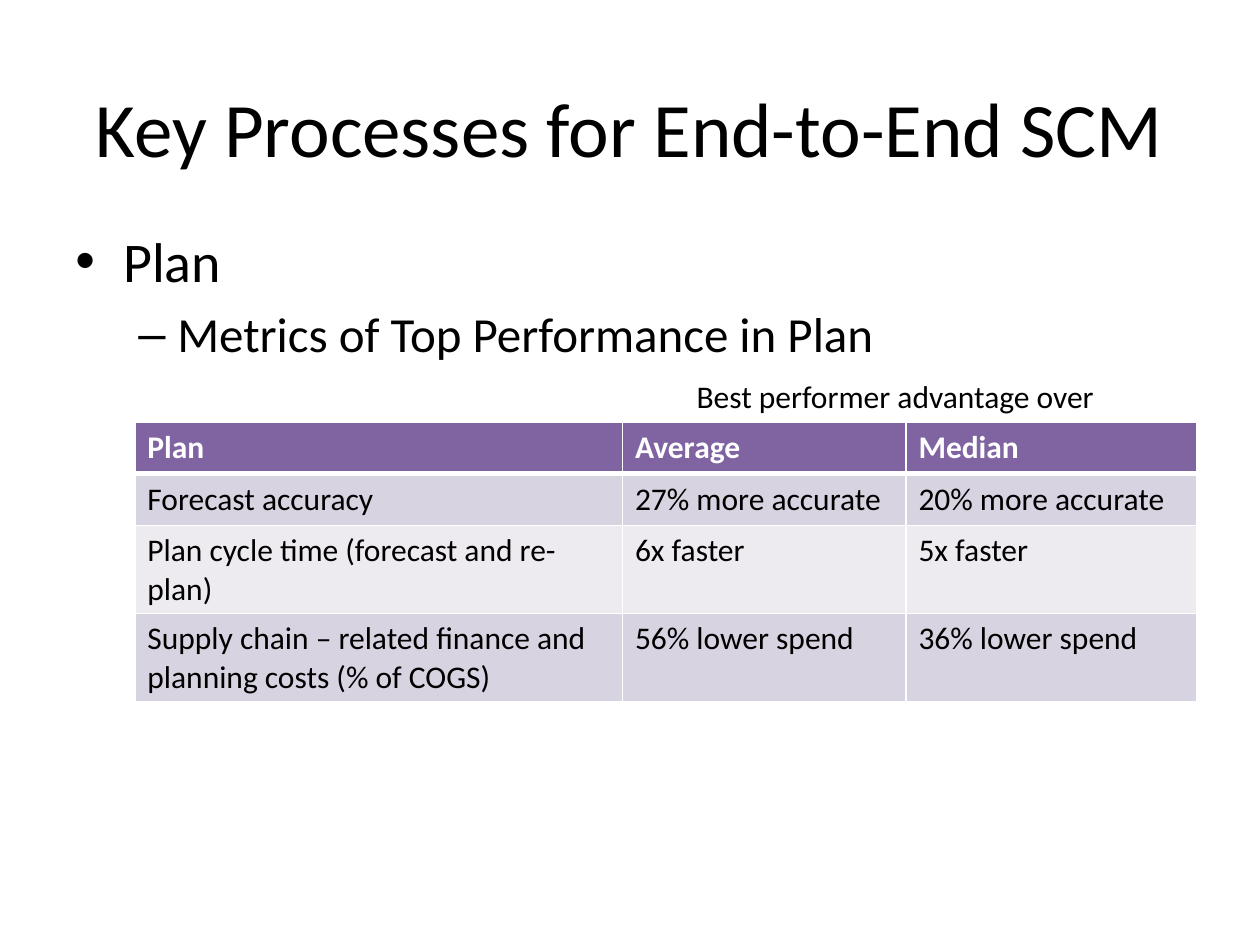
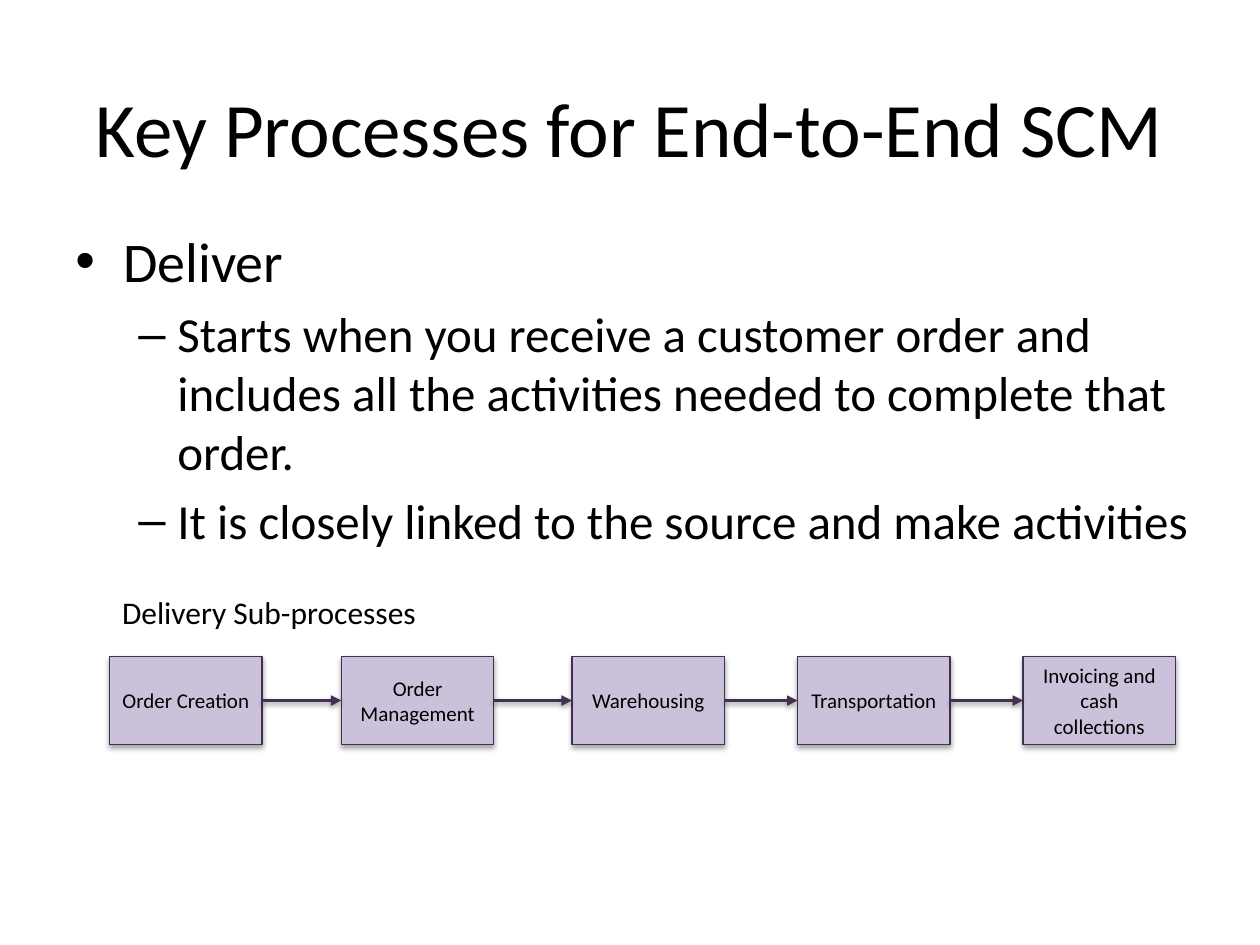
from lxml import etree
from pptx import Presentation
from pptx import util as u
from pptx.dml.color import RGBColor
from pptx.enum import shapes, text
from pptx.oxml import parse_xml
from pptx.oxml.ns import nsdecls, qn

# Shared look
FONT = "Calibri"
BLACK, WHITE = "000000", "FFFFFF"
HEADER, BAND_DARK, BAND_LIGHT = "8064A2", "D8D3E0", "EDEAF0"
BOX_FILL, BOX_LINE = "CCC1DA", "403152"
TITLE = "Key Processes for End-to-End SCM"

# Per level: bullet, text size, left indent, first-line indent
LEVELS = [("•", 32, 0.38, -0.38), ("–", 28, 0.81, -0.31)]


def color(value):
    return RGBColor.from_string(value)


def write(paragraph, words, size=18, fill=BLACK, bold=False,
          align=text.PP_ALIGN.LEFT):
    """Add one formatted run to a paragraph."""
    paragraph.alignment = align
    run = paragraph.add_run()
    run.text = words
    run.font.name = FONT
    run.font.size = u.Pt(size)
    run.font.bold = bold
    run.font.color.rgb = color(fill)


def add_text_box(slide, left, top, width, height,
                 anchor=text.MSO_ANCHOR.TOP):
    box = slide.shapes.add_textbox(*map(u.Inches, (left, top, width, height)))
    frame = box.text_frame
    frame.word_wrap = True
    frame.vertical_anchor = anchor
    return frame


def add_label(slide, words, left, top, width):
    frame = add_text_box(slide, left, top, width, 0.4)
    write(frame.paragraphs[0], words)


def add_titled_slide(presentation):
    slide = presentation.slides.add_slide(presentation.slide_layouts[6])
    frame = add_text_box(slide, 0.5, 0.38, 9, 1.25, text.MSO_ANCHOR.MIDDLE)
    write(frame.paragraphs[0], TITLE, size=44, align=text.PP_ALIGN.CENTER)
    return slide


def add_bullets(slide, items, width=9):
    """Items are (level, words) pairs."""
    frame = add_text_box(slide, 0.5, 1.75, width, 4.95)
    for index, (level, words) in enumerate(items):
        paragraph = frame.add_paragraph() if index else frame.paragraphs[0]
        bullet, size, left, first = LEVELS[level]
        write(paragraph, words, size=size)
        paragraph.level = level
        properties = paragraph._p.get_or_add_pPr()
        properties.set("marL", str(u.Inches(left)))
        properties.set("indent", str(u.Inches(first)))
        spacing = etree.SubElement(properties, qn("a:spcBef"))
        etree.SubElement(spacing, qn("a:spcPct"), val="20000")
        etree.SubElement(properties, qn("a:buFont"), typeface="Arial")
        etree.SubElement(properties, qn("a:buChar"), char=bullet)


def set_borders(cell, bottom):
    """White cell borders, 1 pt except at the bottom."""
    properties = cell._tc.get_or_add_tcPr()
    for side, points in (("L", 1), ("R", 1), ("T", 1), ("B", bottom)):
        properties.append(parse_xml(
            f'<a:ln{side} {nsdecls("a")} w="{u.Pt(points)}"><a:solidFill>'
            f'<a:srgbClr val="{WHITE}"/></a:solidFill></a:ln{side}>'))


def add_metrics_table(slide, rows, left, top, widths, heights):
    table = slide.shapes.add_table(
        len(rows), len(widths), u.Inches(left), u.Inches(top),
        u.Inches(sum(widths)), u.Inches(sum(heights))).table
    for column, width in zip(table.columns, widths):
        column.width = u.Inches(width)
    for index, (row, height, values) in enumerate(
            zip(table.rows, heights, rows)):
        row.height = u.Inches(height)
        is_header = index == 0
        band = BAND_DARK if index % 2 else BAND_LIGHT
        for cell, words in zip(row.cells, values):
            set_borders(cell, bottom=3 if is_header else 1)
            cell.fill.solid()
            cell.fill.fore_color.rgb = color(HEADER if is_header else band)
            write(cell.text_frame.paragraphs[0], words, bold=is_header,
                  fill=WHITE if is_header else BLACK)


def add_shadow(shape, distance, opacity):
    """Soft black shadow straight below the shape."""
    properties = shape._element.spPr
    for old in properties.findall(qn("a:effectLst")):
        properties.remove(old)
    properties.append(parse_xml(
        f'<a:effectLst {nsdecls("a")}><a:outerShdw blurRad="{u.Pt(3.1)}" '
        f'dist="{u.Pt(distance)}" dir="5400000" rotWithShape="0">'
        f'<a:srgbClr val="{BLACK}"><a:alpha val="{opacity * 1000}"/>'
        f'</a:srgbClr></a:outerShdw></a:effectLst>'))


def add_step(slide, words, left, top):
    shape = slide.shapes.add_shape(
        shapes.MSO_SHAPE.RECTANGLE,
        *map(u.Inches, (left, top, 1.21, 0.7)))
    shape.fill.solid()
    shape.fill.fore_color.rgb = color(BOX_FILL)
    shape.line.color.rgb = color(BOX_LINE)
    shape.line.width = u.Pt(0.75)
    add_shadow(shape, distance=1.8, opacity=35)
    frame = shape.text_frame
    frame.word_wrap = True
    frame.vertical_anchor = text.MSO_ANCHOR.MIDDLE
    write(frame.paragraphs[0], words, size=12, align=text.PP_ALIGN.CENTER)
    return shape


def add_arrow(slide, source, target):
    """Join the right side of one step to the left side of the next."""
    arrow = slide.shapes.add_connector(shapes.MSO_CONNECTOR.ELBOW, 0, 0, 0, 0)
    arrow.begin_connect(source, 3)
    arrow.end_connect(target, 1)
    arrow.line.color.rgb = color(BOX_LINE)
    arrow.line.width = u.Pt(2)
    etree.SubElement(arrow.line._get_or_add_ln(), qn("a:tailEnd"),
                     type="triangle")
    add_shadow(arrow, distance=1.6, opacity=38)


def build_plan_slide(presentation):
    slide = add_titled_slide(presentation)
    add_bullets(slide, [(0, "Plan"),
                        (1, "Metrics of Top Performance in Plan")])
    rows = [
        ("Plan", "Average", "Median"),
        ("Forecast accuracy", "27% more accurate", "20% more accurate"),
        ("Plan cycle time (forecast and re-plan)", "6x faster", "5x faster"),
        ("Supply chain – related finance and planning costs (% of COGS)",
         "56% lower spend", "36% lower spend"),
    ]
    add_metrics_table(slide, rows, 1.07, 3.35, widths=(3.87, 2.25, 2.31),
                      heights=(0.41, 0.41, 0.7, 0.7))
    add_label(slide, "Best performer advantage over", 5.43, 2.94, 3.54)


def build_deliver_slide(presentation):
    slide = add_titled_slide(presentation)
    add_bullets(slide, [
        (0, "Deliver"),
        (1, "Starts when you receive a customer order and includes all the "
            "activities needed to complete that order."),
        (1, "It is closely linked to the source and make activities"),
    ], width=9.2)

    # Process chain
    chain = [("Order Creation", 0.87), ("Order Management", 2.71),
             ("Warehousing", 4.54), ("Transportation", 6.33),
             ("Invoicing and cash collections", 8.12)]
    steps = [add_step(slide, words, left, 5.21) for words, left in chain]
    for source, target in zip(steps, steps[1:]):
        add_arrow(slide, source, target)
    add_label(slide, "Delivery Sub-processes", 0.87, 4.66, 3.49)


def main():
    presentation = Presentation()
    presentation.slide_width = u.Inches(10)
    presentation.slide_height = u.Inches(7.5)
    build_plan_slide(presentation)
    build_deliver_slide(presentation)
    presentation.save("out.pptx")


main()
